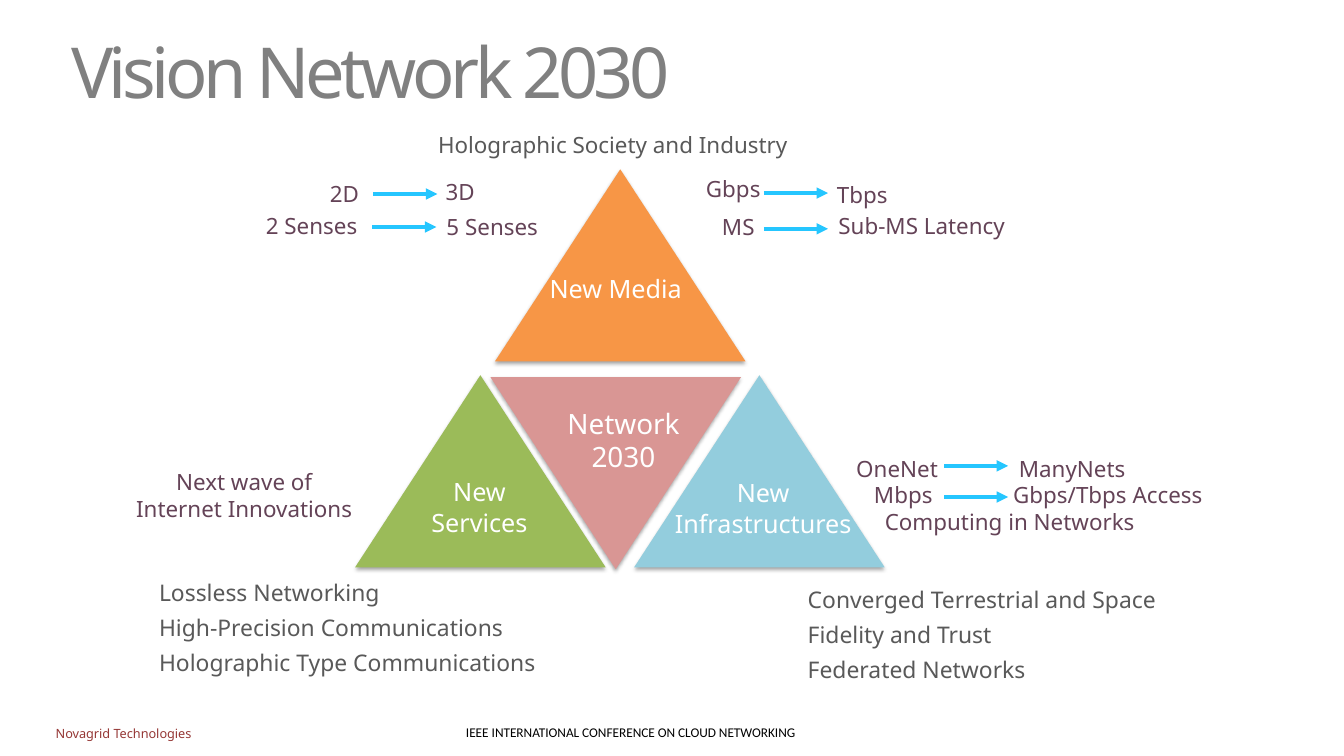
from lxml import etree
from pptx import Presentation, util as u
from pptx.dml.color import RGBColor
from pptx.enum import shapes, text
from pptx.oxml import ns

Pt = u.Pt
PLUM, GREY, WHITE, SKY = "644357", "595959", "FFFFFF", "25C6FF"
LEFT, CENTER = text.PP_ALIGN.LEFT, text.PP_ALIGN.CENTER
TOP, MIDDLE = text.MSO_ANCHOR.TOP, text.MSO_ANCHOR.MIDDLE

deck = Presentation()
deck.slide_width, deck.slide_height = Pt(1057.7), Pt(594.7)
page = deck.slides.add_slide(deck.slide_layouts[6])


def color(value):
    return RGBColor.from_string(value)


def add_text(lines, left, top, width, height, size, ink,
             align=CENTER, anchor=TOP, gap=0, font="Noto Sans"):
    box = page.shapes.add_textbox(Pt(left), Pt(top), Pt(width), Pt(height))
    frame = box.text_frame
    frame.word_wrap = True
    frame.vertical_anchor = anchor
    for index, line in enumerate(lines):
        para = frame.add_paragraph() if index else frame.paragraphs[0]
        para.alignment = align
        if index and gap:
            para.space_before = Pt(gap)
        span = para.add_run()
        span.text = line
        span.font.name = font
        span.font.size = Pt(size)
        span.font.color.rgb = color(ink)
    return box


# Footer
add_text(["IEEE INTERNATIONAL CONFERENCE ON CLOUD NETWORKING"],
         306.7, 561.6, 379.4, 28.8, 10.5, "000000", anchor=MIDDLE, font="Calibri")
add_text(["Novagrid Technologies"], 36.7, 567.4, 140, 18, 10, "953735", LEFT)

# Title with tight letter spacing
title = add_text(["Vision Network 2030"], 49, -2.2, 912.2, 115.2, 55.3, "808080",
                 LEFT, MIDDLE)
title.text_frame.paragraphs[0].runs[0].font._element.set("spc", "-350")

# Four triangles with a soft shadow below
for left, top, turn, fill in [
    (389.5, 133.2, 0, "F79646"),
    (385.9, 296.6, 180, "D99694"),
    (499, 295.2, 0, "93CDDD"),
    (279.4, 295.2, 0, "9BBB59"),
]:
    triangle = page.shapes.add_shape(shapes.MSO_SHAPE.ISOSCELES_TRIANGLE,
                                     Pt(left), Pt(top), Pt(197.3), Pt(151.2))
    triangle.rotation = turn
    triangle.fill.solid()
    triangle.fill.fore_color.rgb = color(fill)
    triangle.line.fill.background()
    triangle.shadow.inherit = False
    effects = triangle._element.spPr.find(ns.qn("a:effectLst"))
    shadow = etree.SubElement(effects, ns.qn("a:outerShdw"), blurRad=str(Pt(3.1)),
                              dist=str(Pt(1.8)), dir="5400000", rotWithShape="0")
    tint = etree.SubElement(shadow, ns.qn("a:srgbClr"), val="000000")
    etree.SubElement(tint, ns.qn("a:alpha"), val="35000")

# Triangle names
add_text(["Network 2030"], 426.2, 316.1, 128.9, 60.5, 22, WHITE)
for lines, left, top, width, height in [
    (["New Media"], 404.6, 211.7, 159.8, 31),
    (["New", "Services"], 302.4, 371.5, 149.8, 55.4),
    (["New", "Infrastructures"], 520.6, 372.2, 159.8, 55.4),
]:
    add_text(lines, left, top, width, height, 19.8, WHITE)

# Before and after labels of the media triangle
for label, left, top, width, height in [
    ("2D", 217.4, 137.5, 107.3, 29.5),
    ("3D", 342.7, 132.5, 38.9, 36.7),
    ("2 Senses", 171.4, 160.6, 147.6, 33.1),
    ("5 Senses", 334.1, 165.6, 106.6, 24.5),
    ("Gbps", 523.4, 133.2, 107.3, 29.5),
    ("Tbps", 614.2, 134.6, 128.9, 36.7),
    ("MS", 528.5, 162, 105.1, 33.1),
    ("Sub-MS Latency", 623.5, 167, 203.8, 21.6),
]:
    add_text([label], left, top, width, height, 17.6, PLUM, anchor=MIDDLE)

# Notes around the triangles
add_text(["Holographic Society and Industry"], 337.7, 99.4, 345.6, 28.8, 17.6, GREY, LEFT)
add_text(["Next wave of", "Internet Innovations"], 83.5, 365, 217.4, 49.7, 17.6, PLUM)
add_text(["Lossless Networking", "High-Precision Communications",
          "Holographic Type Communications"],
         118.1, 451.4, 330, 85, 18, GREY, LEFT, gap=6)
add_text(["Converged Terrestrial and Space", "Fidelity and Trust", "Federated Networks"],
         628.6, 457.2, 357.1, 85, 18, GREY, LEFT, gap=6)

# Infrastructure changes, set out with tab stops
changes = add_text(["OneNet\tManyNets", "\tMbps\tGbps/Tbps Access", "\tComputing in Networks"],
                   666.7, 354.2, 331.9, 71.3, 17.6, PLUM, LEFT)
for para, stops in zip(changes.text_frame.paragraphs, [[128], [14, 123.5], [22.5]]):
    tabs = etree.SubElement(para._p.get_or_add_pPr(), ns.qn("a:tabLst"))
    for stop in stops:
        etree.SubElement(tabs, ns.qn("a:tab"), pos=str(Pt(stop)), algn="l")

# Arrows from before to after
for left, top in [(293.8, 152.6), (293, 178.6), (601.2, 151.9),
                  (601.2, 180), (743, 366.5), (743, 391)]:
    arrow = page.shapes.add_connector(shapes.MSO_CONNECTOR.STRAIGHT,
                                      Pt(left), Pt(top), Pt(left + 50.4), Pt(top))
    arrow.line.color.rgb = color(SKY)
    arrow.line.width = Pt(3)
    etree.SubElement(arrow.line._get_or_add_ln(), ns.qn("a:tailEnd"), type="triangle")
    etree.SubElement(arrow._element.spPr, ns.qn("a:effectLst"))

deck.save("out.pptx")
